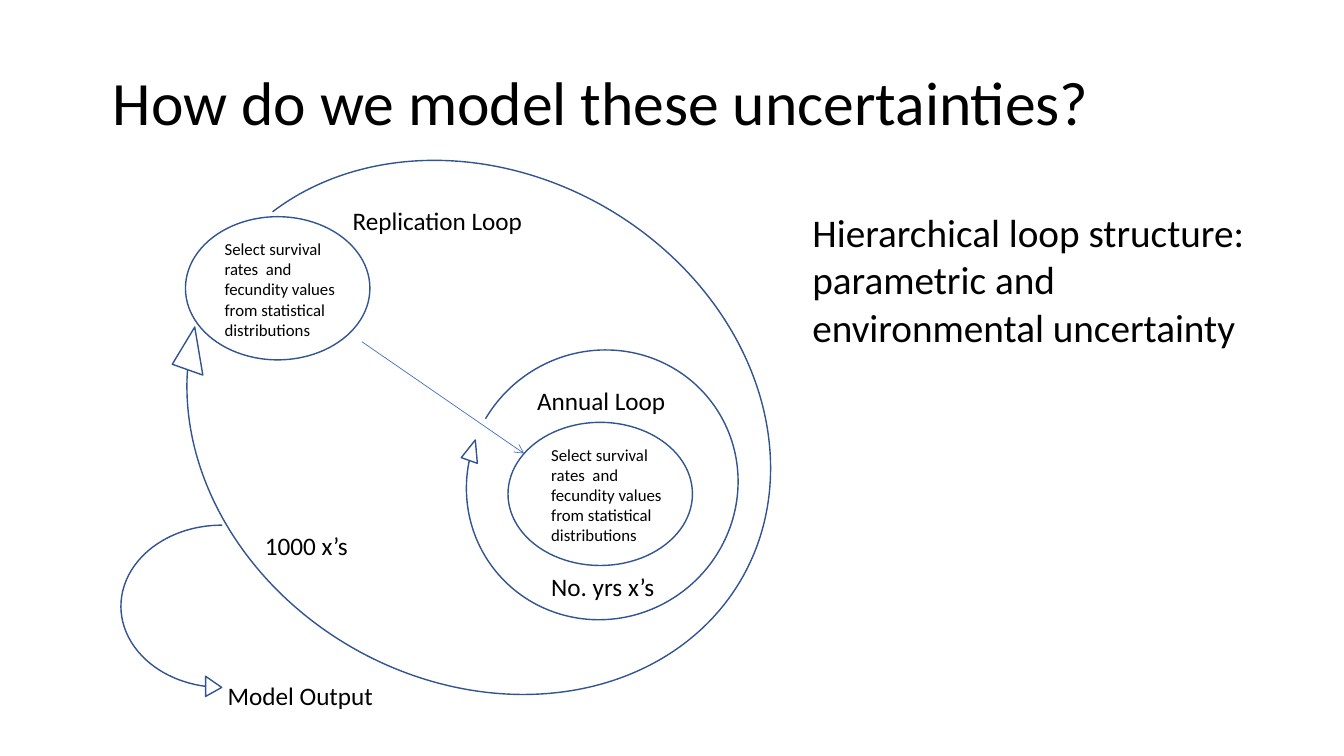
from dataclasses import dataclass

from pptx import Presentation
from pptx.dml.color import RGBColor
from pptx.enum.shapes import MSO_CONNECTOR, MSO_SHAPE
from pptx.enum.text import MSO_ANCHOR, MSO_AUTO_SIZE, PP_ALIGN
from pptx.oxml.ns import qn
from pptx.util import Inches, Pt
from lxml import etree

OVAL, RING, CURVE = MSO_SHAPE.OVAL, MSO_SHAPE.CIRCULAR_ARROW, MSO_SHAPE.CURVED_RIGHT_ARROW
STRAIGHT = MSO_CONNECTOR.STRAIGHT
TOP, LEFT, FIXED = MSO_ANCHOR.TOP, PP_ALIGN.LEFT, MSO_AUTO_SIZE.NONE

COLS, ROWS = 80, 45
CELL = Inches(13.3333) / COLS
BLACK, WHITE, NAVY, BLUE = "000000", "FFFFFF", "325491", "4472C4"
STEP = "Select survival rates  and  fecundity values from statistical distributions"


@dataclass
class Box:
    """Left, top, width and height in grid cells."""
    x: float
    y: float
    w: float
    h: float


@dataclass
class Label:
    text: str
    box: Box
    size: int = 18


@dataclass
class Arrow:
    kind: int
    box: Box
    adjust: tuple
    turn: float = 0


TITLE = Label("How do we model these uncertainties?", Box(6.12, 3.48, 60, 5.04), 44)
BODY = Label("Hierarchical loop structure:\nparametric and environmental uncertainty",
             Box(47.76, 12.12, 29.28, 9.06), 28)
OVALS = [Box(11.04, 12.9, 10.98, 8.52), Box(30.24, 25.14, 10.98, 8.52)]
LABELS = [
    Label(STEP, Box(12.78, 13.92, 7.98, 6.66), 12),
    Label(STEP, Box(32.22, 26.16, 7.98, 6.66), 12),
    Label("Replication Loop", Box(20.4, 11.94, 11.82, 2.4)),
    Label("Annual Loop", Box(31.38, 22.62, 9, 2.4)),
    Label("1000 x’s", Box(15.18, 31.26, 7.02, 2.4)),
    Label("No. yrs x’s", Box(32.22, 33.72, 8.16, 2.4)),
    Label("Model Output", Box(12.96, 40.2, 10.02, 2.4)),
]
ARROWS = [
    Arrow(RING, Box(27.18, 20.4, 17.34, 16.92), (0, 5.44, 136.55, 148.12, 0.03), 322.8),
    Arrow(RING, Box(12.42, 6.42, 32.16, 38.04), (0, 4.95, 150.79, 171.86, 0.03), 299.9),
    Arrow(CURVE, Box(7.2, 31.26, 6, 10.26), (0, 0.2, 0.16)),
]


def cells(*counts: float) -> list:
    return [round(count * CELL) for count in counts]


def span(box: Box) -> list:
    return cells(box.x, box.y, box.w, box.h)


def color(code: str) -> RGBColor:
    return RGBColor.from_string(code)


def assign(item, values: dict) -> None:
    for name, value in values.items():
        setattr(item, name, value)


def write(shape, label: Label) -> None:
    frame = shape.text_frame
    frame.text = label.text
    assign(shape, dict(zip(("left", "top", "width", "height"), span(label.box))))
    assign(frame, {"word_wrap": True, "auto_size": FIXED, "vertical_anchor": TOP})
    for para in frame.paragraphs:
        assign(para, {"alignment": LEFT, "space_before": Pt(0)})
        assign(para.font, {"name": "Calibri", "size": Pt(label.size)})
        para.font.color.rgb = color(BLACK)


def strip(shape) -> None:
    """Take bullets and indents off a list."""
    for para in shape.text_frame.paragraphs:
        props = para._p.get_or_add_pPr()
        props.set("marL", "0")
        props.set("indent", "0")
        etree.SubElement(props, qn("a:buNone"))


def draw(slide, kind: int, box: Box):
    shape = slide.shapes.add_shape(kind, *span(box))
    shape.shadow.inherit = False
    shape.line.color.rgb = color(NAVY)
    shape.line.width = Pt(1)
    return shape


def bend(slide, arrow: Arrow) -> None:
    shape = draw(slide, arrow.kind, arrow.box)
    shape.fill.solid()
    shape.fill.fore_color.rgb = color(WHITE)
    shape.rotation = arrow.turn
    for index, value in enumerate(arrow.adjust):
        shape.adjustments[index] = value


def link(slide, start: tuple, end: tuple) -> None:
    wire = slide.shapes.add_connector(STRAIGHT, *cells(*start, *end))
    wire.line.color.rgb = color(BLUE)
    wire.line.width = Pt(0.5)
    etree.SubElement(wire.line._get_or_add_ln(), qn("a:tailEnd"), type="arrow")
    etree.SubElement(wire._element.spPr, qn("a:effectLst"))


def main() -> None:
    deck = Presentation()
    deck.slide_width, deck.slide_height = cells(COLS, ROWS)
    slide = deck.slides.add_slide(deck.slide_layouts[1])
    title, body = slide.placeholders
    write(title, TITLE)
    write(body, BODY)
    strip(body)
    for arrow in ARROWS:
        bend(slide, arrow)
    for box in OVALS:
        draw(slide, OVAL, box).fill.background()
    link(slide, (21.54, 20.34), (31.2, 27))
    for label in LABELS:
        write(slide.shapes.add_textbox(*span(label.box)), label)
    deck.save("out.pptx")


if __name__ == "__main__":
    main()
